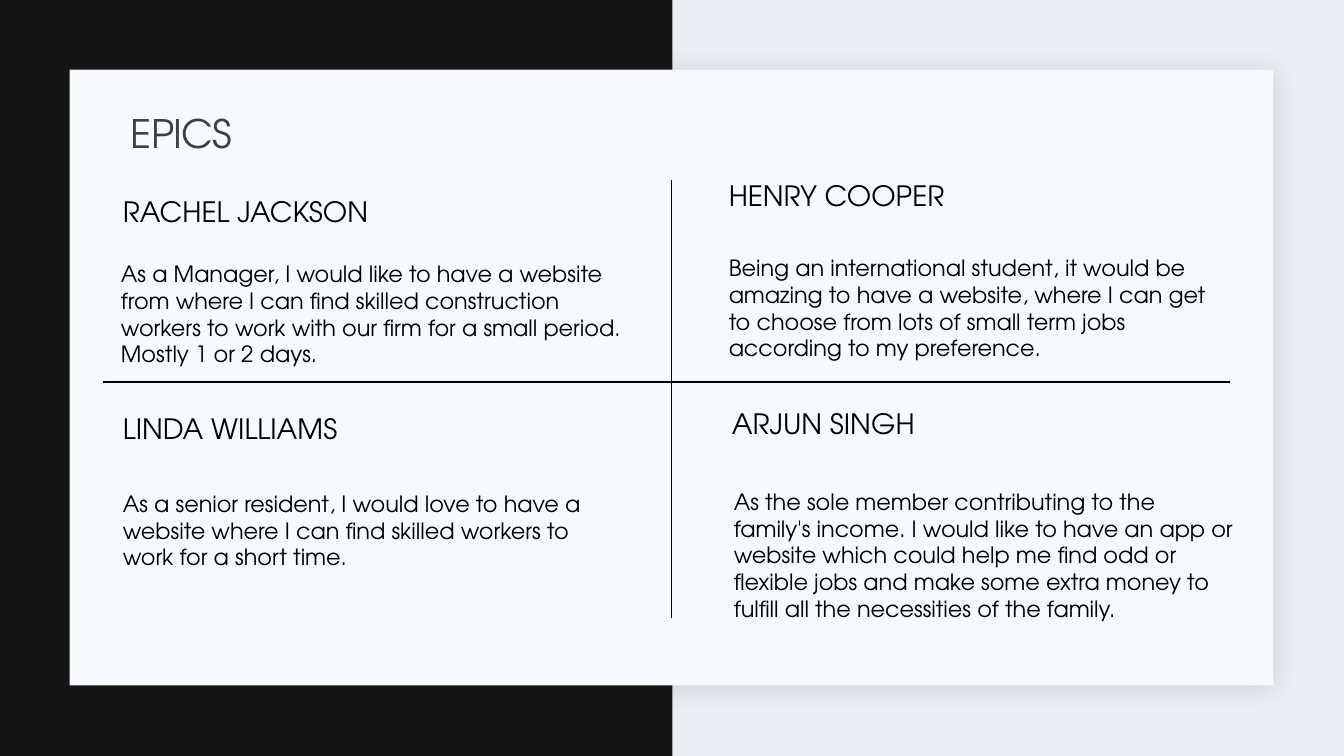
import pptx
import pptx.util
import pptx.dml.color
import pptx.enum.shapes
import pptx.enum.text
import pptx.oxml
import pptx.oxml.ns

Inches = pptx.util.Inches
Pt = pptx.util.Pt
FONT = "TeX Gyre Adventor"
COLORS = {"backdrop": "ECEEF7", "band": "141514", "card": "F6F9FF",
          "title": "404040", "text": "000000", "shadow": "1F2125"}
PERSONAS = [
    ("RACHEL JACKSON", (1.12, 1.69), (1.2, 2.53), 0,
     "As a Manager, I would like to have a website from where I can find skilled "
     "construction workers to work with our firm for a small period. Mostly 1 or 2 days."),
    ("HENRY COOPER", (7.13, 1.53), (7.13, 2.47), 0.1,
     "Being an international student, it would be amazing to have a website, where I can "
     "get to choose from lots of small term jobs according to my preference."),
    ("LINDA WILLIAMS", (1.12, 3.84), (1.12, 4.81), 0.1,
     "As a senior resident, I would love to have a website where I can find skilled "
     "workers to work for a short time."),
    ("ARJUN SINGH", (7.16, 3.79), (7.18, 4.79), 0.1,
     "As the sole member contributing to the family's income. I would like to have an app "
     "or website which could help me find odd or flexible jobs and make some extra money "
     "to fulfill all the necessities of the family."),
]


def rgb(name):
    """Return the named colour."""
    return pptx.dml.color.RGBColor.from_string(COLORS[name])


def add_panel(s, box, color):
    """Add a plain filled rectangle."""
    sp = s.shapes.add_shape(pptx.enum.shapes.MSO_SHAPE.RECTANGLE, *map(Inches, box))
    sp.shadow.inherit = False
    sp.fill.solid()
    sp.fill.fore_color.rgb = rgb(color)
    sp.line.fill.background()
    return sp


def add_shadow(sp):
    """Give a shape a soft outer shadow."""
    effects = sp._element.spPr.find(pptx.oxml.ns.qn("a:effectLst"))
    effects.append(pptx.oxml.parse_xml(
        f'<a:outerShdw {pptx.oxml.ns.nsdecls("a")} blurRad="{Pt(20)}" dist="{Pt(2)}" '
        f'dir="2700000" algn="tl" rotWithShape="0"><a:srgbClr val="{COLORS["shadow"]}">'
        '<a:alpha val="15000"/></a:srgbClr></a:outerShdw>'))


def add_text(s, box, text, size, color="text", middle=True, left=0.1, right=0.1):
    """Add a wrapped text box holding one paragraph and return the paragraph."""
    tf = s.shapes.add_textbox(*map(Inches, box)).text_frame
    tf.word_wrap = True
    tf.margin_left, tf.margin_right = Inches(left), Inches(right)
    anchor = pptx.enum.text.MSO_ANCHOR
    tf.vertical_anchor = anchor.MIDDLE if middle else anchor.TOP
    p = tf.paragraphs[0]
    p.text = text
    font = p.runs[0].font
    font.name, font.size = FONT, Pt(size)
    font.color.rgb = rgb(color)
    return p


def add_title(s, box, text):
    """Add the slide title with slightly tightened letters and lines."""
    p = add_text(s, box, text, 28, "title")
    p.line_spacing = 0.9
    p.runs[0].font._element.set("spc", "-50")


def add_persona(s, name, name_at, story_at, indent, story):
    """Add a persona's name and user story."""
    add_text(s, (*name_at, 5.07, 0.81), name, 20)
    add_text(s, (*story_at, 5.07, 3.95), story, 16, middle=False, left=indent, right=0)


def add_divider(s, x1, y1, x2, y2):
    """Add a thin straight rule."""
    line = s.shapes.add_connector(pptx.enum.shapes.MSO_CONNECTOR.STRAIGHT,
                                  *map(Inches, (x1, y1, x2, y2)))
    line.line.color.rgb = rgb("text")
    line.line.width = Pt(1)
    line._element.spPr.append(pptx.oxml.parse_xml(
        f'<a:effectLst {pptx.oxml.ns.nsdecls("a")}/>'))


def build_epics(prs):
    """Build the slide of four personas around a cross."""
    s = prs.slides.add_slide(prs.slide_layouts[6])
    s.background.fill.solid()
    s.background.fill.fore_color.rgb = rgb("backdrop")
    add_panel(s, (0, 0, 6.67, 7.5), "band")
    add_shadow(add_panel(s, (0.69, 0.69, 11.94, 6.11), "card"))
    add_title(s, (1.2, 1.03, 11, 0.64), "EPICS")
    for persona in PERSONAS:
        add_persona(s, *persona)
    add_divider(s, 6.66, 1.79, 6.66, 6.13)
    add_divider(s, 12.2, 3.79, 1.02, 3.79)


def main():
    """Create and save the presentation."""
    prs = pptx.Presentation()
    prs.slide_width, prs.slide_height = Inches(13.33), Inches(7.5)
    build_epics(prs)
    prs.save("out.pptx")


if __name__ == "__main__":
    main()
